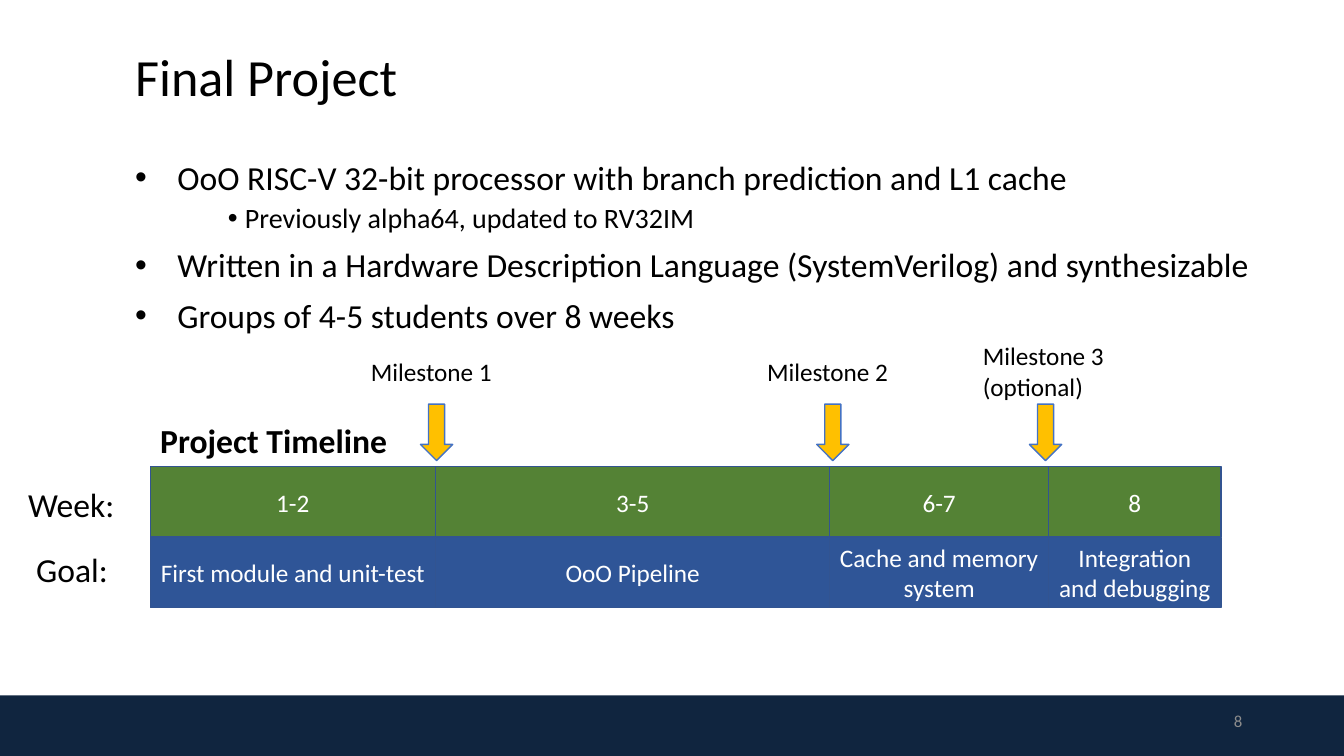
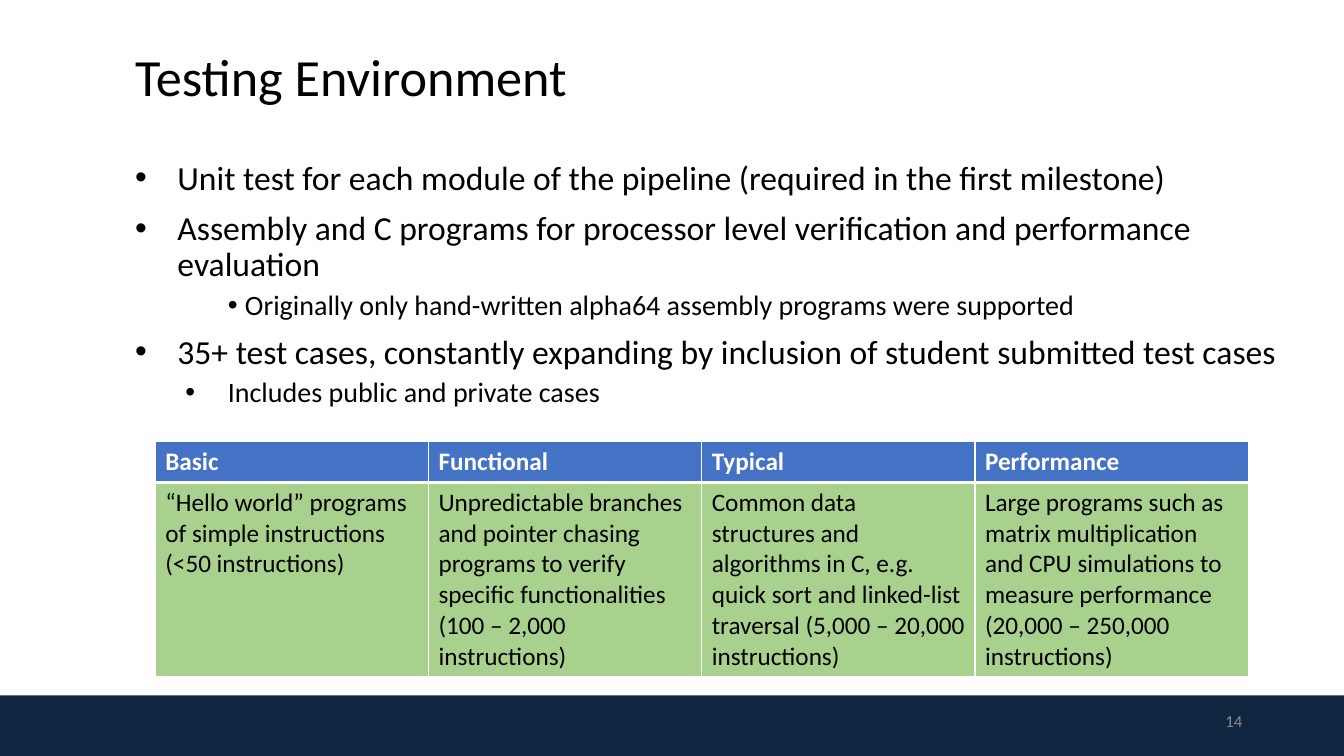
from lxml import etree
from pptx import Presentation
from pptx.dml.color import RGBColor
from pptx.enum.shapes import MSO_SHAPE
from pptx.enum.text import MSO_ANCHOR, MSO_AUTO_SIZE, PP_ALIGN
from pptx.oxml import parse_xml
from pptx.oxml.ns import nsdecls, qn
from pptx.util import Inches, Pt

RECT, DOWN_ARROW = MSO_SHAPE.RECTANGLE, MSO_SHAPE.DOWN_ARROW
TOP, MIDDLE, BOTTOM = MSO_ANCHOR.TOP, MSO_ANCHOR.MIDDLE, MSO_ANCHOR.BOTTOM
LEFT, CENTER, RIGHT = PP_ALIGN.LEFT, PP_ALIGN.CENTER, PP_ALIGN.RIGHT
NO_FIT = MSO_AUTO_SIZE.NONE

BLACK, WHITE, GRAY = "000000", "FFFFFF", "8C8C8C"
NAVY, BLUE, DARK_BLUE, EDGE = "10253F", "4472C4", "2F5597", "325491"
GREEN, LIGHT_GREEN, AMBER = "548235", "A9D18E", "FFC000"
INSET = Inches(0.13)
MARGINS = {"margin_left": INSET, "margin_top": INSET,
           "margin_right": INSET, "margin_bottom": INSET}
BULLETS = {
    "main": {"left": 0.42, "hang": 0.42, "size": 24, "before": 10},
    "sub": {"left": 1.09, "hang": 0.17, "size": 20, "before": 5},
    "wide sub": {"left": 0.92, "hang": 0.42, "size": 20, "before": 5},
}


def write(tf, lines, size, color=BLACK, bold=False, align=LEFT, anchor=TOP, wrap=True):
    frame = {"word_wrap": wrap, "auto_size": NO_FIT, "vertical_anchor": anchor}
    for name, value in frame.items():
        setattr(tf, name, value)
    for i, line in enumerate(lines):
        p = tf.paragraphs[0] if i == 0 else tf.add_paragraph()
        p.alignment = align
        r = p.add_run()
        r.text = line
        font = {"name": "Calibri", "size": Pt(size), "bold": bold}
        for name, value in font.items():
            setattr(r.font, name, value)
        r.font.color.rgb = RGBColor.from_string(color)


def add_box(s, kind, box, fill, line=None):
    sp = s.shapes.add_shape(kind, *map(Inches, box))
    sp.shadow.inherit = False
    sp.fill.solid()
    sp.fill.fore_color.rgb = RGBColor.from_string(fill)
    if line:
        sp.line.color.rgb = RGBColor.from_string(line)
        sp.line.width = Pt(1)
    else:
        sp.line.fill.background()
    return sp


prs = Presentation()
prs.slide_width, prs.slide_height = Inches(13.33), Inches(7.5)

pages = [
    ("Final Project", "8", [
        ("main", "OoO RISC-V 32-bit processor with branch prediction and L1 cache"),
        ("sub", "Previously alpha64, updated to RV32IM"),
        ("main", "Written in a Hardware Description Language (SystemVerilog) and synthesizable"),
        ("main", "Groups of 4-5 students over 8 weeks"),
    ]),
    ("Testing Environment", "14", [
        ("main", "Unit test for each module of the pipeline (required in the first milestone)"),
        ("main", "Assembly and C programs for processor level verification and performance evaluation"),
        ("sub", "Originally only hand-written alpha64 assembly programs were supported"),
        ("main", "35+ test cases, constantly expanding by inclusion of student submitted test cases"),
        ("wide sub", "Includes public and private cases"),
    ]),
]
slides = []
for title, number, bullets in pages:
    s = prs.slides.add_slide(prs.slide_layouts[5])
    slides.append(s)
    add_box(s, RECT, (0, 6.9, 13.33, 0.6), NAVY)

    sp = s.shapes.title
    sp.left, sp.top, sp.width, sp.height = map(Inches, (1.21, 0.36, 11.71, 0.84))
    write(sp.text_frame, [title], 37.3, anchor=BOTTOM)
    sp.text_frame.paragraphs[0].line_spacing = 0.9

    body = s.shapes.add_textbox(*map(Inches, (1.21, 1.47, 11.71, 2.8)))
    for tf in (sp.text_frame, body.text_frame):
        for name, value in MARGINS.items():
            setattr(tf, name, value)
    tf = body.text_frame
    write(tf, [text for _, text in bullets], 24)
    for i, (p, (kind, _)) in enumerate(zip(tf.paragraphs, bullets)):
        fmt = BULLETS[kind]
        p.line_spacing = 0.9
        p.space_before = Pt(fmt["before"] if i else 0)
        p.runs[0].font.size = Pt(fmt["size"])
        pPr = p._p.get_or_add_pPr()
        pPr.set("marL", str(Inches(fmt["left"])))
        pPr.set("indent", str(-Inches(fmt["hang"])))
        etree.SubElement(pPr, qn("a:buFont")).set("typeface", "Arial")
        etree.SubElement(pPr, qn("a:buChar")).set("char", "•")

    sp = s.shapes.add_textbox(*map(Inches, (9.42, 6.95, 3, 0.4)))
    write(sp.text_frame, [number], 12, GRAY, align=RIGHT, anchor=MIDDLE)

project, testing = slides

phases = [
    (2.83, "1-2", "First module and unit-test"),
    (3.91, "3-5", "OoO Pipeline"),
    (2.17, "6-7", "Cache and memory system"),
    (1.71, "8", "Integration and debugging"),
]
left = 1.49
for width, week, goal in phases:
    for top, text, fill in ((4.63, week, GREEN), (5.33, goal, DARK_BLUE)):
        sp = add_box(project, RECT, (left, top, width, 0.7), fill, EDGE)
        write(sp.text_frame, [text], 18, WHITE, align=CENTER, anchor=MIDDLE)
    left += width

labels = [
    ("Project Timeline", (1.49, 4.12, 2.45, 0.5), True),
    ("Week:", (0.18, 4.75, 1.07, 0.5), False),
    ("Goal:", (0.26, 5.4, 0.92, 0.5), False),
]
for text, box, bold in labels:
    sp = project.shapes.add_textbox(*map(Inches, box))
    write(sp.text_frame, [text], 24, bold=bold, wrap=False)

milestones = [
    (4.17, (3.58, 3.49, 1.44, 0.4), ["Milestone 1"]),
    (8.1, (7.51, 3.49, 1.44, 0.4), ["Milestone 2"]),
    (10.21, (9.65, 3.33, 1.44, 0.71), ["Milestone 3", "(optional)"]),
]
for left, box, lines in milestones:
    add_box(project, DOWN_ARROW, (left, 4.01, 0.32, 0.56), AMBER, BLUE)
    sp = project.shapes.add_textbox(*map(Inches, box))
    write(sp.text_frame, lines, 18)

categories = [
    ("Basic", ["“Hello world” programs of simple instructions", "(<50 instructions)"]),
    ("Functional", ["Unpredictable branches and pointer chasing programs to verify specific functionalities",
                    "(100 – 2,000 instructions)"]),
    ("Typical", ["Common data structures and algorithms in C, e.g. quick sort and linked-list "
                 "traversal (5,000 – 20,000 instructions)"]),
    ("Performance", ["Large programs such as matrix multiplication and CPU simulations to measure performance",
                     "(20,000 – 250,000 instructions)"]),
]
table = testing.shapes.add_table(2, 4, *map(Inches, (1.54, 4.38, 10.82, 2.25))).table
for row, height in zip(table.rows, (0.37, 1.88)):
    row.height = Inches(height)
for col, (name, lines) in enumerate(categories):
    table.columns[col].width = Inches(2.71)
    rows = [([name], BLUE, WHITE, True, 3), (lines, LIGHT_GREEN, BLACK, False, 1)]
    for row, (text, fill, color, bold, bottom) in enumerate(rows):
        cell = table.cell(row, col)
        tcPr = cell._tc.get_or_add_tcPr()
        for side, width in (("L", 1), ("R", 1), ("T", 1), ("B", bottom)):
            tcPr.append(parse_xml(
                f'<a:ln{side} {nsdecls("a")} w="{Pt(width)}"><a:solidFill>'
                f'<a:srgbClr val="{WHITE}"/></a:solidFill></a:ln{side}>'))
        cell.fill.solid()
        cell.fill.fore_color.rgb = RGBColor.from_string(fill)
        write(cell.text_frame, text, 18, color, bold)

prs.save("out.pptx")
